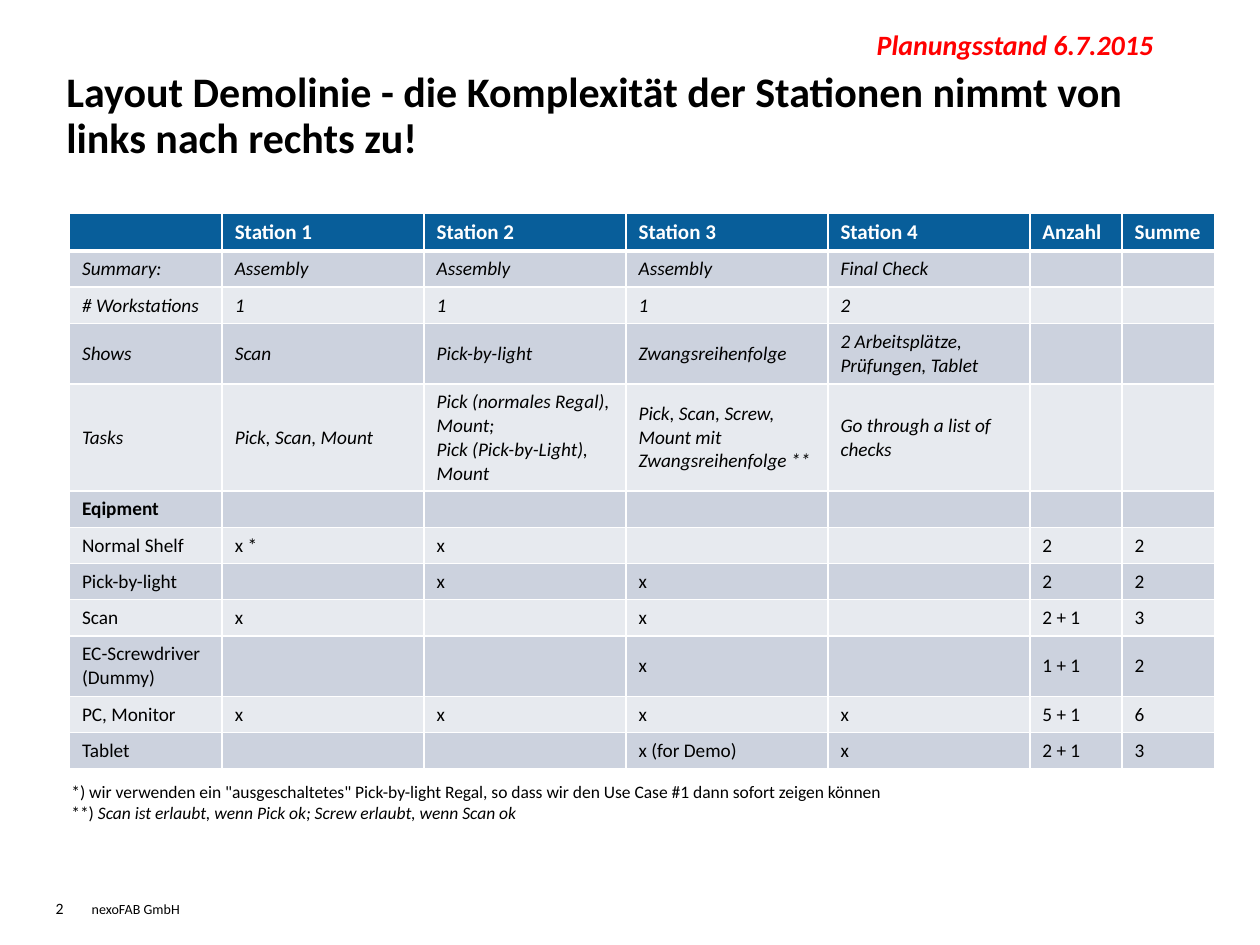
"""Build the station layout slide with its equipment table."""
from dataclasses import dataclass

from lxml import etree
from pptx import Presentation
from pptx.dml.color import RGBColor
from pptx.enum import text as enum
from pptx.oxml import ns
from pptx.util import Cm, Pt


@dataclass(frozen=True)
class Theme:
    font: str = "Calibri"
    black: str = "000000"
    white: str = "FFFFFF"
    red: str = "FF0000"
    blue: str = "085E9A"
    dark: str = "CCD2DE"
    light: str = "E7EAEF"
    title: int = 24
    stamp: int = 16
    head: int = 12
    body: int = 11
    note: int = 10
    page: int = 9
    foot: int = 8


@dataclass(frozen=True)
class Box:
    left: float
    top: float
    width: float
    height: float
    wrap: bool = True
    inset: float = 0.25
    low: bool = False


@dataclass(frozen=True)
class Row:
    cells: tuple[str, ...]
    height: float = 0.73
    bold: bool = False
    italic: bool = False


T = Theme()
WIDTHS = (3.08,) + (4.07,) * 4 + (1.86,) * 2
ROWS = (
    Row(("", "Station 1", "Station 2", "Station 3", "Station 4", "Anzahl", "Summe"), 0.77, bold=True),
    Row(("Summary:", "Assembly", "Assembly", "Assembly", "Final Check"), italic=True),
    Row(("# Workstations", "1", "1", "1", "2"), italic=True),
    Row(("Shows", "Scan", "Pick-by-light", "Zwangsreihenfolge",
         "2 Arbeitsplätze, Prüfungen, Tablet"), 1.22, italic=True),
    Row(("Tasks", "Pick, Scan, Mount",
         "Pick (normales Regal), Mount;\nPick (Pick-by-Light), Mount",
         "Pick, Scan, Screw, Mount mit Zwangsreihenfolge **",
         "Go through a list of checks"), 2.16, italic=True),
    Row(("Eqipment",), bold=True),
    Row(("Normal Shelf", "x *", "x", "", "", "2", "2")),
    Row(("Pick-by-light", "", "x", "x", "", "2", "2")),
    Row(("Scan", "x", "", "x", "", "2 + 1", "3")),
    Row(("EC-Screwdriver (Dummy)", "", "", "x", "", "1 + 1", "2"), 1.22),
    Row(("PC, Monitor", "x", "x", "x", "x", "5 + 1", "6")),
    Row(("Tablet", "", "", "x (for Demo)", "x", "2 + 1", "3")),
)


def write(para, words: str, *, size: int, color: str = T.black,
          bold: bool = False, italic: bool = False) -> None:
    """Add one formatted run, or size an empty paragraph."""
    if not words:
        etree.SubElement(para._p, ns.qn("a:endParaRPr"), sz=str(size * 100))
        return
    run = para.add_run()
    run.text = words
    font = run.font
    font.name, font.size, font.bold, font.italic = T.font, Pt(size), bold, italic
    font.color.rgb = RGBColor.from_string(color)


def frame(slide, box: Box):
    """Add a text box and return its text frame."""
    shape = slide.shapes.add_textbox(Cm(box.left), Cm(box.top), Cm(box.width), Cm(box.height))
    body = shape.text_frame
    body.word_wrap = box.wrap
    body.margin_left = body.margin_right = Cm(box.inset)
    body.vertical_anchor = enum.MSO_ANCHOR.BOTTOM if box.low else enum.MSO_ANCHOR.TOP
    return body


def edge(cell, side: str, width: float) -> None:
    """Draw one white cell border."""
    line = etree.SubElement(cell._tc.get_or_add_tcPr(), ns.qn(f"a:ln{side}"), w=str(Pt(width)))
    fill = etree.SubElement(line, ns.qn("a:solidFill"))
    etree.SubElement(fill, ns.qn("a:srgbClr"), val=T.white)


def grid(slide) -> None:
    """Draw the station table."""
    table = slide.shapes.add_table(
        len(ROWS), len(WIDTHS), Cm(1.4), Cm(4.29), Cm(sum(WIDTHS)),
        Cm(sum(row.height for row in ROWS))).table
    for col, width in zip(table.columns, WIDTHS):
        col.width = Cm(width)
    for num, row in enumerate(ROWS):
        table.rows[num].height = Cm(row.height)
        head = num == 0
        shade = T.blue if head else (T.light, T.dark)[num % 2]
        for col in range(len(WIDTHS)):
            cell = table.cell(num, col)
            cell.vertical_anchor = enum.MSO_ANCHOR.MIDDLE
            for side in "LRTB":
                thick = (num, side) in ((0, "B"), (1, "T"))
                edge(cell, side, 3 if thick else 1)
            cell.fill.solid()
            cell.fill.fore_color.rgb = RGBColor.from_string(shade)
            words = row.cells[col] if col < len(row.cells) else ""
            for pos, line in enumerate(words.split("\n")):
                body = cell.text_frame
                para = body.add_paragraph() if pos else body.paragraphs[0]
                write(para, line, size=T.head if head else T.body,
                      color=T.white if head else T.black,
                      bold=row.bold, italic=row.italic)


def main() -> None:
    """Build and save the deck."""
    deck = Presentation()
    deck.slide_width, deck.slide_height = Cm(25.4), Cm(19.05)
    slide = deck.slides.add_slide(deck.slide_layouts[6])

    title = frame(slide, Box(1.09, 1.3, 22.78, 2.18)).paragraphs[0]
    title.line_spacing = Pt(26)
    write(title, "Layout Demolinie - die Komplexität der Stationen nimmt von links nach rechts zu!",
          size=T.title, bold=True)

    foot = frame(slide, Box(1.85, 17.91, 19.25, 0.71, wrap=False, inset=0, low=True))
    write(foot.paragraphs[0], "nexoFAB GmbH", size=T.foot)
    page = frame(slide, Box(1.12, 17.91, 0.71, 0.71, inset=0, low=True))
    write(page.paragraphs[0], "2", size=T.page)

    grid(slide)

    notes = frame(slide, Box(1.19, 15.62, 17.09, 1.12, wrap=False))
    notes.auto_size = enum.MSO_AUTO_SIZE.SHAPE_TO_FIT_TEXT
    write(notes.paragraphs[0], '*) wir verwenden ein "ausgeschaltetes" Pick-by-light Regal, '
          "so dass wir den Use Case #1 dann sofort zeigen können", size=T.note)
    second = notes.add_paragraph()
    write(second, "**) ", size=T.note)
    write(second, "Scan ist erlaubt, wenn Pick ok; Screw erlaubt, wenn Scan ok",
          size=T.note, italic=True)

    stamp = frame(slide, Box(16.31, 0.43, 8.31, 0.94))
    stamp.auto_size = enum.MSO_AUTO_SIZE.SHAPE_TO_FIT_TEXT
    stamp.paragraphs[0].alignment = enum.PP_ALIGN.CENTER
    write(stamp.paragraphs[0], "Planungsstand 6.7.2015", size=T.stamp,
          color=T.red, bold=True, italic=True)

    deck.save("out.pptx")


main()
